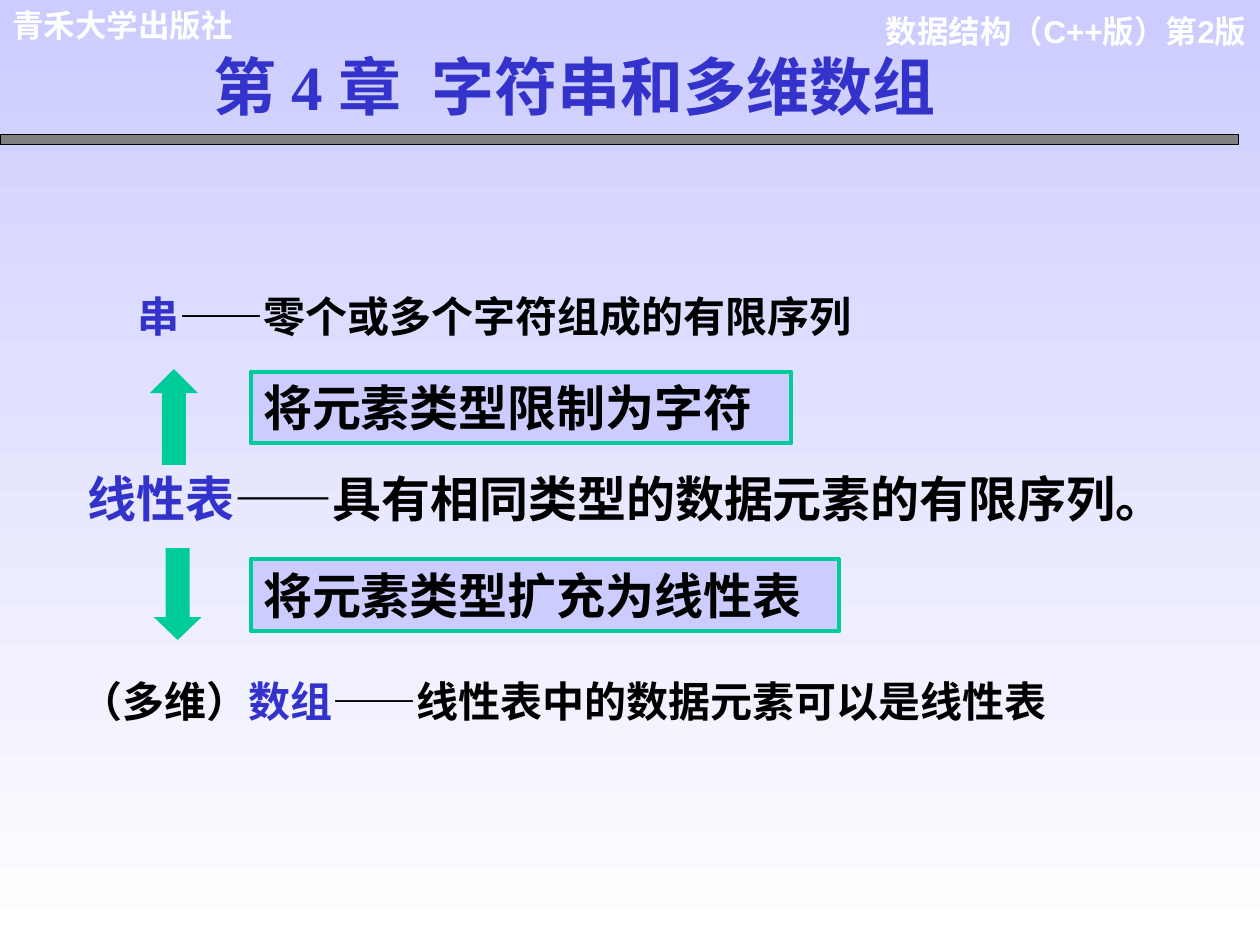
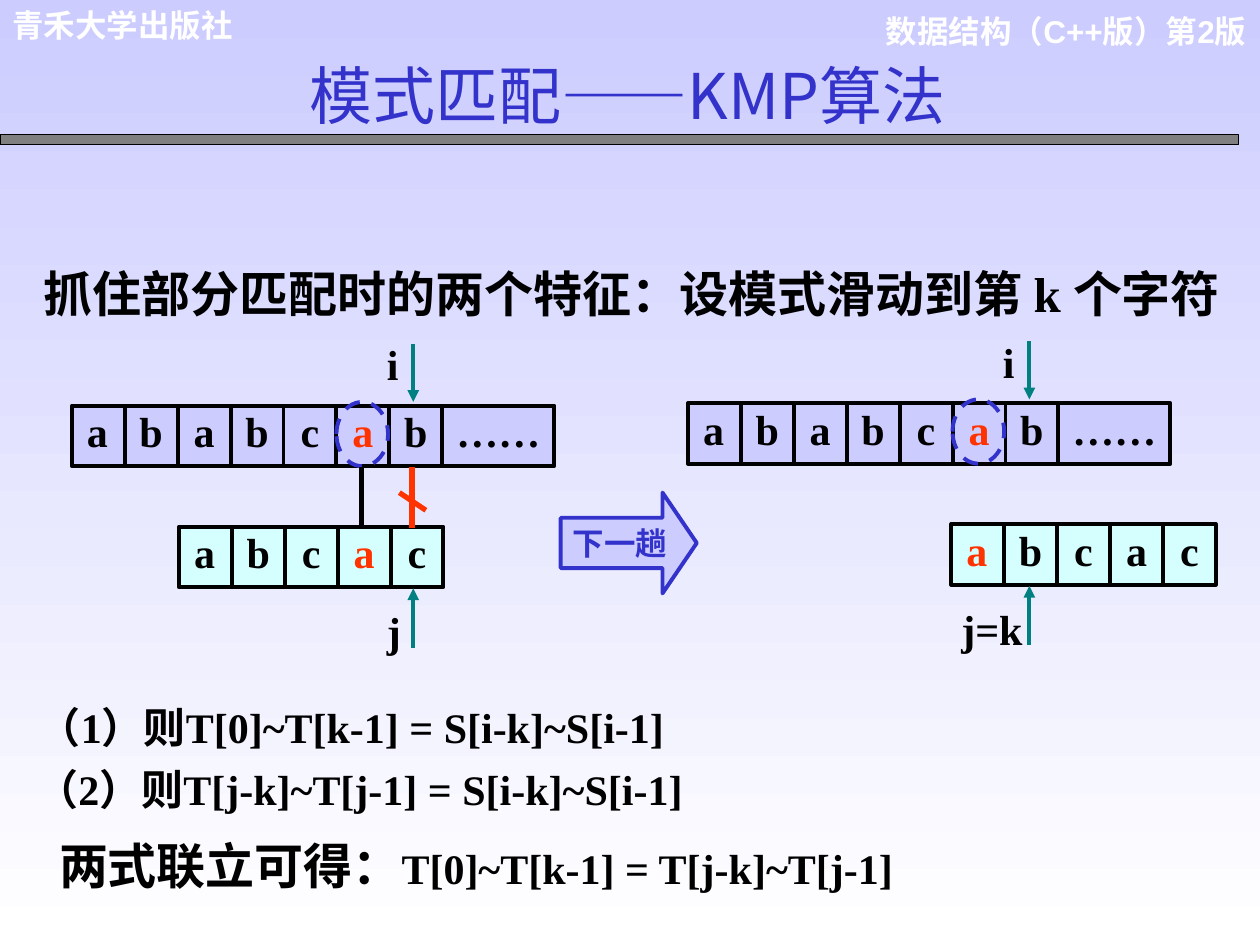
from dataclasses import dataclass

from lxml.etree import SubElement
from pptx import Presentation
from pptx.dml.color import RGBColor as RGB
from pptx.enum.dml import MSO_LINE as DASH
from pptx.enum.shapes import MSO_CONNECTOR as LINK, MSO_SHAPE as SHAPE
from pptx.enum.text import MSO_ANCHOR as ANCHOR, PP_ALIGN as ALIGN
from pptx.oxml.ns import qn
from pptx.util import Inches, Pt


@dataclass(frozen=True)
class Theme:
    lilac: str = "CCCCFF"
    white: str = "FFFFFF"
    black: str = "000000"
    gray: str = "808080"
    blue: str = "3333CC"
    green: str = "00CC99"
    aqua: str = "D5FFFF"
    red: str = "FF3300"
    teal: str = "008080"
    sans: str = "Arial"
    serif: str = "Times New Roman"
    cjk: str = "Noto Sans CJK SC"
    title: int = 36
    large: int = 28
    body: int = 24
    small: int = 18
    stroke: float = 2.25
    heavy: float = 3


T = Theme()
COLS, ROWS = 100, 75
UNIT = Inches(0.1)
CELL = 4.2
CELL_H = 4.8
PATTERN_DROP = 9.6


def grid(*values):
    return [round(v * UNIT) for v in values]


def style_run(r, size, font, color, bold=True, shadow=False, spacing=0):
    r.font.size = Pt(size)
    r.font.bold = bold
    r.font.color.rgb = RGB.from_string(color)
    rpr = r._r.get_or_add_rPr()
    if spacing:
        rpr.set("spc", str(spacing * 100))
    if shadow:
        effects = SubElement(rpr, qn("a:effectLst"))
        outer = SubElement(effects, qn("a:outerShdw"), dist="28398", dir="2700000")
        SubElement(outer, qn("a:srgbClr"), val=T.gray)
    r.font.name = font
    SubElement(rpr, qn("a:ea"), typeface=T.cjk)


def write(sp, runs, size=T.body, font=T.sans, color=T.black, align=ALIGN.LEFT,
          spacing=None, anchor=ANCHOR.TOP, wrap=True, **style):
    tf = sp.text_frame
    tf.word_wrap = wrap
    tf.vertical_anchor = anchor
    p = tf.paragraphs[0]
    p.alignment = align
    if spacing:
        p.line_spacing = spacing
    for text, changes in runs:
        r = p.add_run()
        r.text = text
        style_run(r, **({"size": size, "font": font, "color": color} | style | changes))
    return p


def add_text(s, box, runs, inset=None, **style):
    sp = s.shapes.add_textbox(*grid(*box))
    if inset is not None:
        sp.text_frame.margin_left = sp.text_frame.margin_right = inset
    write(sp, runs, **style)


def add_block(s, kind, box, fill=None, line=None, width=T.stroke):
    sp = s.shapes.add_shape(kind, *grid(*box))
    sp.shadow.inherit = False
    if fill:
        sp.fill.solid()
        sp.fill.fore_color.rgb = RGB.from_string(fill)
    else:
        sp.fill.background()
    if line:
        sp.line.color.rgb = RGB.from_string(line)
        sp.line.width = Pt(width)
    else:
        sp.line.fill.background()
    return sp


def add_line(s, x1, y1, x2, y2, color=T.black, width=T.stroke, arrow=False):
    c = s.shapes.add_connector(LINK.STRAIGHT, *grid(x1, y1, x2, y2))
    c.line.color.rgb = RGB.from_string(color)
    c.line.width = Pt(width)
    if arrow:
        SubElement(c.line._get_or_add_ln(), qn("a:tailEnd"), type="triangle")
    SubElement(c._element.spPr, qn("a:effectLst"))


def add_cells(s, x, y, letters, hot, fill, width):
    sp = add_block(s, SHAPE.RECTANGLE, (x, y, width, CELL_H), fill, T.black)
    tf = sp.text_frame
    inset = 1.2
    tf.margin_left, tf.margin_right = grid(inset, 0.2)
    tf.margin_top = tf.margin_bottom = 0
    runs = [(("\t" if i else "") + letter, {"color": T.red} if i == hot else {})
            for i, letter in enumerate(letters)]
    p = write(sp, runs, font=T.serif)
    edges = [i * CELL for i in range(len(letters))] + [width]
    tabs = SubElement(p._p.get_or_add_pPr(), qn("a:tabLst"))
    for left, right in zip(edges[1:], edges[2:]):
        stop = grid((left + right) / 2 - inset)[0]
        SubElement(tabs, qn("a:tab"), pos=str(stop), algn="ctr")
        add_line(s, x + left, y, x + left, y + CELL_H)


def add_match(s, x, y, pattern_x, hot, j_label, j_width):
    add_cells(s, x, y, [*"ababcab", "……"], 5, T.lilac, 38.3)
    add_cells(s, pattern_x, y + PATTERN_DROP, "abcac", hot, T.aqua, 5 * CELL)
    pointer = x + 27.1
    add_line(s, pointer, y - 4.9, pointer, y - 0.3, T.teal, arrow=True)
    add_line(s, pointer, y + 19.2, pointer, y + 14.5, T.teal, arrow=True)
    for text, top, width in (("i", y - 5.8, 1.9), (j_label, y + 15.4, j_width)):
        add_text(s, (x + 26.9 - width, top, width, 5), [(text, {})], inset=0, font=T.serif)
    ring = add_block(s, SHAPE.OVAL, (x + 21, y - 0.3, 4.1, 5.1), line=T.blue)
    ring.line.dash_style = DASH.DASH


def new_slide(prs, box, title, **style):
    s = prs.slides.add_slide(prs.slide_layouts[6])
    header = {"size": T.small, "color": T.white}
    add_text(s, (69.2, 0.5, 30.7, 7), [("数据结构（C++版）第2版", {})], align=ALIGN.RIGHT, **header)
    add_text(s, (0, 0, 27.1, 4), [("青禾大学出版社", {})], **header)
    add_block(s, SHAPE.RECTANGLE, (0, 10.7, 98.3, 0.8), T.gray, T.black, 0.75)
    add_text(s, box, title, size=T.title, color=T.blue, shadow=True, **style)
    return s


def chapter_slide(prs):
    title = [("第 4 章", {}), (" ", {"spacing": 9}), ("字符串和多维数组", {})]
    s = new_slide(prs, (16, 3.3, 62.3, 7), title, font=T.serif)
    term, dash = {"color": T.blue}, ("——", {"font": T.cjk})
    add_text(s, (9.9, 22.6, 76.5, 5),
             [("串", term), ("——零个或多个字符组成的有限序列", {})], font=T.cjk)
    add_text(s, (6, 36.7, 88.4, 5.7),
             [("线性表", term), dash, ("具有相同类型的数据元素的有限序列。", {})], size=T.large)
    add_text(s, (5.4, 52.7, 81.6, 5.4),
             [("（多维）", {}), ("数组", term), dash, ("线性表中的数据元素可以是线性表", {})],
             spacing=1.1)
    for top, width, text in ((29.5, 42.9, "将元素类型限制为字符"),
                             (44.4, 46.7, "将元素类型扩充为线性表")):
        sp = add_block(s, SHAPE.RECTANGLE, (19.9, top, width, 5.7), T.lilac, T.green)
        write(sp, [(text, {})], size=T.large)
    add_block(s, SHAPE.UP_ARROW, (11.9, 29.3, 3.8, 7.6), T.green)
    add_block(s, SHAPE.DOWN_ARROW, (12.2, 43.5, 3.8, 7.3), T.green).adjustments[1] = 0.48


def kmp_slide(prs):
    s = new_slide(prs, (8.9, 4, 81.8, 7), [("模式匹配——KMP算法", {})],
                  font=T.cjk, bold=False, align=ALIGN.CENTER)
    add_text(s, (2.5, 20.4, 97.5, 10.4),
             [("抓住部分匹配时的两个特征：设模式滑动到第 k 个字符", {})], size=T.large, font=T.serif)

    add_match(s, 5.7, 32.2, 14.2, 3, "j", 1.9)
    add_match(s, 54.6, 32, 75.5, 0, "j=k", 5.2)
    add_line(s, 28.7, 37.1, 28.7, 41.8, T.black, T.heavy)
    add_line(s, 32.7, 37.1, 32.7, 41.9, T.red, T.heavy)
    add_line(s, 31.7, 39.1, 33.8, 40.5, T.red, T.heavy)

    step = add_block(s, SHAPE.RIGHT_ARROW, (44.5, 39.1, 10.8, 8), T.lilac, T.blue)
    step.adjustments[1] = 0.34
    write(step, [("下一趟", {})], size=T.small, color=T.blue, align=ALIGN.CENTER,
          anchor=ANCHOR.MIDDLE, wrap=False)

    add_text(s, (2.1, 55.2, 91.5, 5), [("（1）则T[0]~T[k-1] = S[i-k]~S[i-1]", {})], font=T.serif)
    add_text(s, (1.9, 60.1, 84.2, 5), [("（2）则T[j-k]~T[j-1] = S[i-k]~S[i-1]", {})], font=T.serif)
    add_text(s, (3.7, 65.6, 92.5, 5.9),
             [("两式联立可得：", {"size": T.large}), ("T[0]~T[k-1] = T[j-k]~T[j-1]", {})],
             font=T.serif, spacing=1.05)


def main():
    prs = Presentation()
    prs.slide_width, prs.slide_height = grid(COLS, ROWS)
    fill = prs.slide_master.background.fill
    fill.gradient()
    fill.gradient_angle = 270
    for stop, color in zip(fill.gradient_stops, (T.lilac, T.white)):
        stop.color.rgb = RGB.from_string(color)
    chapter_slide(prs)
    kmp_slide(prs)
    prs.save("out.pptx")


if __name__ == "__main__":
    main()
